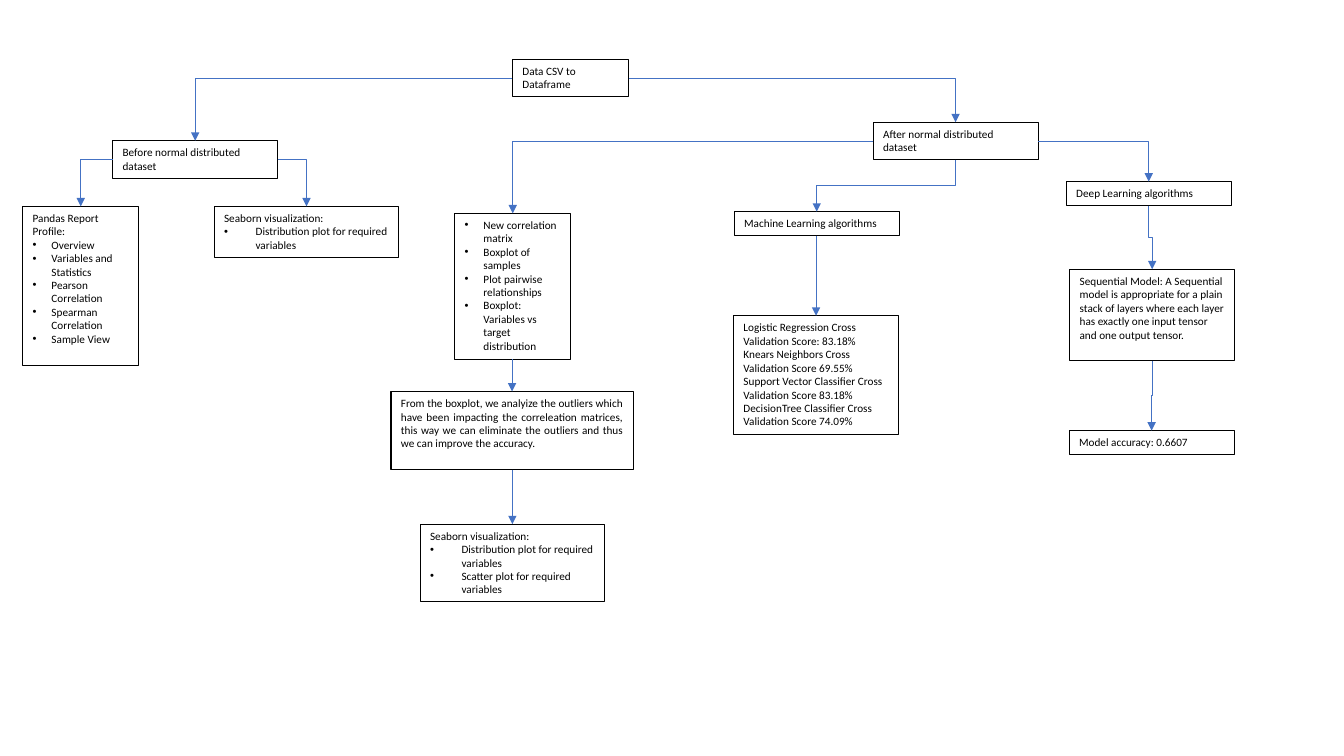
from lxml import etree
from pptx import Presentation
from pptx.dml.color import RGBColor
from pptx.enum.shapes import MSO_CONNECTOR
from pptx.enum.text import MSO_ANCHOR, MSO_AUTO_SIZE, PP_ALIGN
from pptx.oxml.ns import qn
from pptx.util import Pt

ELBOW = MSO_CONNECTOR.ELBOW
TOP_ANCHOR = MSO_ANCHOR.TOP
FIXED_SIZE = MSO_AUTO_SIZE.NONE
LEFT_ALIGN, JUSTIFY = PP_ALIGN.LEFT, PP_ALIGN.JUSTIFY
TOP, LEFT, BOTTOM, RIGHT = range(4)

THEME = {
    "font": "Calibri",
    "bullet_font": "Arial",
    "size": Pt(8),
    "text": RGBColor(0x00, 0x00, 0x00),
    "border": RGBColor(0x00, 0x00, 0x00),
    "border_width": Pt(0.75),
    "arrow": RGBColor(0x44, 0x72, 0xC4),
    "arrow_width": Pt(0.5),
}

NARROW, MEDIUM, WIDE, BROAD = 83, 117.8, 131.8, 173
ONE_LINE, TWO_LINES = 17.2, 26.8
SMALL_INDENT, LARGE_INDENT = 13.5, 22.5

BOXES = {
    "dataframe": {
        "place": (407.6, 42.4, NARROW, TWO_LINES),
        "text": "Data CSV to Dataframe",
    },
    "before": {
        "place": (139.4, 100.5, MEDIUM, TWO_LINES),
        "text": "Before normal distributed dataset",
    },
    "after": {
        "place": (682.6, 87.3, MEDIUM, TWO_LINES),
        "text": "After normal distributed dataset",
    },
    "report": {
        "place": (57.7, 147.4, NARROW, 113.5),
        "text": "Pandas Report Profile:",
        "bullets": ["Overview", "Variables and Statistics", "Pearson Correlation",
                    "Spearman Correlation", "Sample View"],
    },
    "first plots": {
        "place": (218.9, 147.4, WIDE, 36.4),
        "text": "Seaborn visualization:",
        "bullets": ["Distribution plot for required variables"],
        "indent": LARGE_INDENT,
    },
    "correlation": {
        "place": (366.3, 152.4, NARROW, 104.4),
        "bullets": ["New correlation matrix", "Boxplot of samples",
                    "Plot pairwise relationships",
                    "Boxplot: Variables vs target distribution"],
    },
    "outliers": {
        "place": (365.8, 279.7, BROAD, 55.7),
        "text": "From the boxplot, we analyize the outliers which have been impacting "
                "the correleation matrices, this way we can eliminate the outliers "
                "and thus we can improve the accuracy.",
        "alignment": JUSTIFY,
    },
    "final plots": {
        "place": (366, 374.4, WIDE, 55.1),
        "text": "Seaborn visualization:",
        "bullets": ["Distribution plot for required variables",
                    "Scatter plot for required variables"],
        "indent": LARGE_INDENT,
    },
    "machine learning": {
        "place": (583.4, 151.2, MEDIUM, ONE_LINE),
        "text": "Machine Learning algorithms",
    },
    "scores": {
        "place": (582.9, 225.6, MEDIUM, 84.8),
        "text": "Logistic Regression Cross Validation Score: 83.18% "
                "Knears Neighbors Cross Validation Score 69.55% "
                "Support Vector Classifier Cross Validation Score 83.18% "
                "DecisionTree Classifier Cross Validation Score 74.09%",
    },
    "deep learning": {
        "place": (820.6, 129.7, MEDIUM, ONE_LINE),
        "text": "Deep Learning algorithms",
    },
    "sequential": {
        "place": (823, 192.3, MEDIUM, 65.4),
        "text": "Sequential Model: A Sequential model is appropriate for a plain "
                "stack of layers where each layer has exactly one input tensor "
                "and one output tensor.",
    },
    "accuracy": {
        "place": (822.6, 307.6, MEDIUM, ONE_LINE),
        "text": "Model accuracy: 0.6607",
    },
}

ARROWS = [
    ("dataframe", LEFT, "before"),
    ("before", LEFT, "report"),
    ("before", RIGHT, "first plots"),
    ("dataframe", RIGHT, "after"),
    ("after", LEFT, "correlation"),
    ("after", BOTTOM, "machine learning"),
    ("after", RIGHT, "deep learning"),
    ("correlation", BOTTOM, "outliers"),
    ("outliers", BOTTOM, "final plots"),
    ("machine learning", BOTTOM, "scores"),
    ("deep learning", BOTTOM, "sequential"),
    ("sequential", BOTTOM, "accuracy"),
]


def apply_format(target, values):
    for name, value in values.items():
        setattr(target, name, value)


def add_bullet(paragraph, indent):
    properties = paragraph._p.get_or_add_pPr()
    properties.set("marL", str(Pt(indent)))
    properties.set("indent", str(-Pt(indent)))
    etree.SubElement(properties, qn("a:buFont"), typeface=THEME["bullet_font"])
    etree.SubElement(properties, qn("a:buChar"), char="•")


def add_box(slide, place, text=None, bullets=(), indent=SMALL_INDENT, alignment=LEFT_ALIGN):
    center, top, width, height = place
    shape = slide.shapes.add_textbox(Pt(center - width / 2), Pt(top), Pt(width), Pt(height))
    shape.line.color.rgb = THEME["border"]
    shape.line.width = THEME["border_width"]
    frame = shape.text_frame
    apply_format(frame, {"word_wrap": True, "auto_size": FIXED_SIZE,
                         "vertical_anchor": TOP_ANCHOR})
    lines = [(text, False)] if text else []
    lines += [(bullet, True) for bullet in bullets]
    for index, (words, bulleted) in enumerate(lines):
        paragraph = frame.add_paragraph() if index else frame.paragraphs[0]
        paragraph.alignment = alignment
        if bulleted:
            add_bullet(paragraph, indent)
        run = paragraph.add_run()
        run.text = words
        apply_format(run.font, {"name": THEME["font"], "size": THEME["size"]})
        run.font.color.rgb = THEME["text"]
    return shape


def turn_downward(connector):
    across = connector.end_x - connector.begin_x
    down = connector.end_y - connector.begin_y
    middle_x = (connector.begin_x + connector.end_x) // 2
    middle_y = (connector.begin_y + connector.end_y) // 2
    apply_format(connector, {"left": middle_x - down // 2,
                             "top": middle_y - abs(across) // 2,
                             "width": down, "height": abs(across)})
    transform = connector._element.spPr.find(qn("a:xfrm"))
    for name, value in {"rot": 5400000, "flipH": 0, "flipV": int(across > 0)}.items():
        transform.set(name, str(value))


def add_arrow(slide, source, side, target):
    connector = slide.shapes.add_connector(ELBOW, 0, 0, 0, 0)
    connector.begin_connect(source, side)
    connector.end_connect(target, TOP)
    properties = connector._element.spPr
    if side == BOTTOM:
        turn_downward(connector)
    else:
        properties.find(qn("a:prstGeom")).set("prst", "bentConnector2")
    connector.line.color.rgb = THEME["arrow"]
    connector.line.width = THEME["arrow_width"]
    etree.SubElement(properties.find(qn("a:ln")), qn("a:tailEnd"), type="triangle")
    etree.SubElement(properties, qn("a:effectLst"))


def main():
    presentation = Presentation()
    presentation.slide_width, presentation.slide_height = Pt(960), Pt(540)
    slide = presentation.slides.add_slide(presentation.slide_layouts[6])
    shapes = {name: add_box(slide, **box) for name, box in BOXES.items()}
    for source, side, target in ARROWS:
        add_arrow(slide, shapes[source], side, shapes[target])
    presentation.save("out.pptx")


if __name__ == "__main__":
    main()
